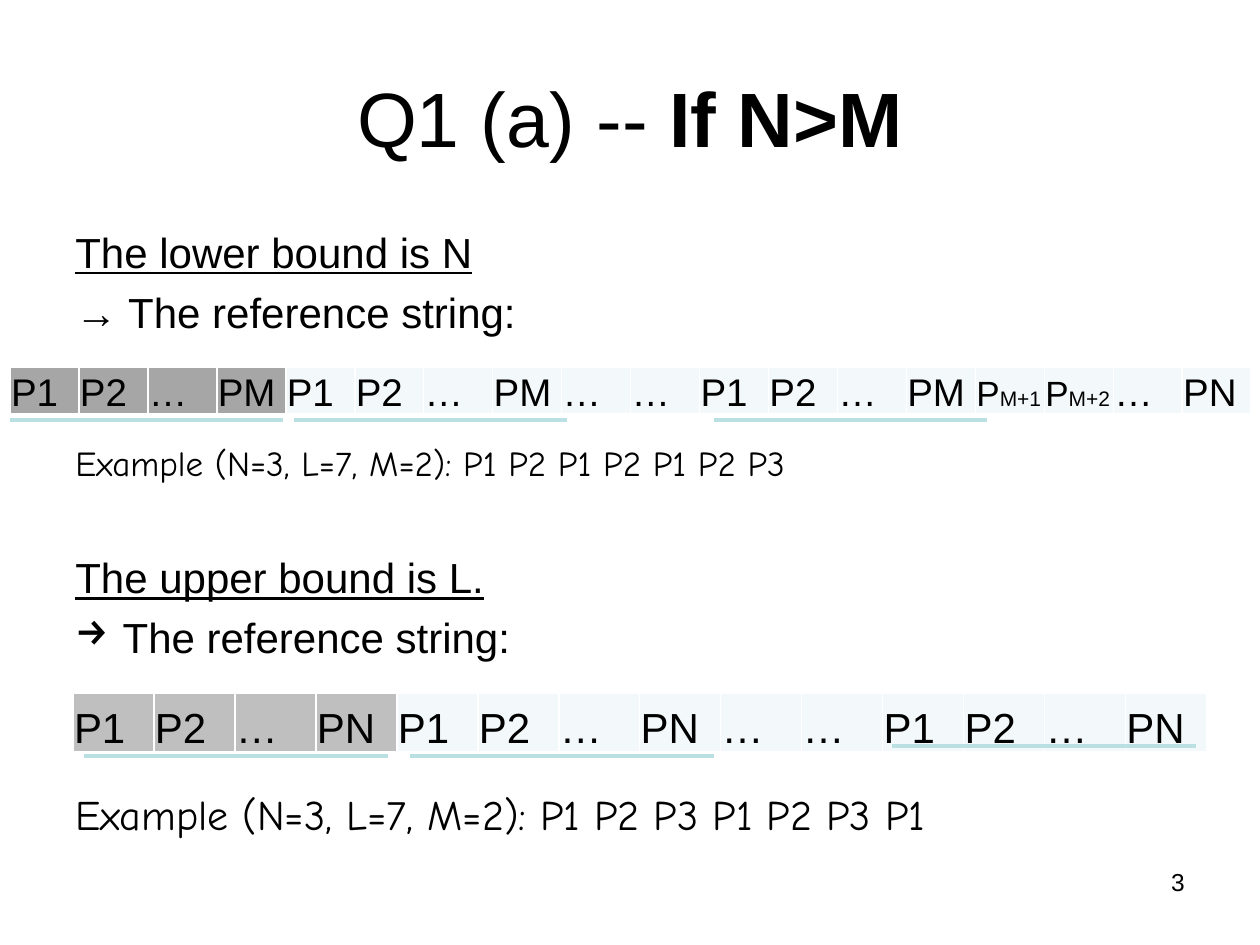
from pptx import Presentation
from pptx.dml.color import RGBColor
from pptx.enum.shapes import MSO_CONNECTOR
from pptx.enum.text import MSO_ANCHOR, PP_ALIGN
from pptx.oxml.ns import qn
from pptx.util import Pt
from lxml.etree import SubElement

PX = 914400 / 126


def px(*values):
    return [round(v * PX) for v in values]


def add_run(p, text, size, font="Arial", bold=False, underline=False):
    r = p.add_run()
    r.text = text
    r.font.size = Pt(size)
    r.font.name = font
    r.font.bold = bold
    r.font.underline = underline
    r.font.color.rgb = RGBColor.from_string("000000")


prs = Presentation()
prs.slide_width, prs.slide_height = px(1260, 945)
s = prs.slides.add_slide(prs.slide_layouts[6])

title = s.shapes.add_textbox(*px(63, 38, 1134, 157))
body = s.shapes.add_textbox(*px(63, 220, 1134, 624))
number = s.shapes.add_textbox(*px(903, 861, 294, 66))
for sp in (title, body, number):
    sp.text_frame.word_wrap = True

title.text_frame.vertical_anchor = MSO_ANCHOR.MIDDLE
p = title.text_frame.paragraphs[0]
p.alignment = PP_ALIGN.CENTER
add_run(p, "Q1 (a) -- ", 44)
add_run(p, "If N>M", 44, bold=True)

p = number.text_frame.paragraphs[0]
p.alignment = PP_ALIGN.RIGHT
add_run(p, "3", 14)

lines = [
    ("The lower bound is N", 24, "Arial", True, 0),
    ("→ The reference string:", 24, "Arial", False, 5.5),
    ("Example (N=3, L=7, M=2): P1 P2 P1 P2 P1 P2 P3", 20, "Comic Neue", False, 60),
    ("The upper bound is L.", 24, "Arial", True, 39),
    ("The reference string:", 24, "Arial", False, 5.5),
    ("Example (N=3, L=7, M=2): P1 P2 P3 P1 P2 P3 P1", 24, "Comic Neue", False, 72),
]
tf = body.text_frame
for i, (text, size, font, underline, before) in enumerate(lines):
    p = tf.add_paragraph() if i else tf.paragraphs[0]
    p.space_before = Pt(before)
    add_run(p, text, size, font, underline=underline)

pPr = tf.paragraphs[4]._p.get_or_add_pPr()
pPr.set("marL", "342900")
pPr.set("indent", "-342900")
SubElement(pPr, qn("a:buChar")).set("char", "→")

upper = "P1 P2 … PN P1 P2 … PN … … P1 P2 … PN".split()
lower = "P1 P2 … PM P1 P2 … PM … … P1 P2 … PM PM+1 PM+2 … PN".split()
tables = [
    (upper, 73, 693, 81, 53, 24, "BFBFBF", 1.15, 10),
    (lower, 10, 367, 69, 44, 22, "A6A6A6", 1, 0),
]
for pages, x, y, col, row, size, shade, spacing, after in tables:
    n = len(pages)
    table = s.shapes.add_table(1, n, *px(x, y, col * n, row)).table
    for i, page in enumerate(pages):
        table.columns[i].width = px(col)[0]
        cell = table.cell(0, i)
        cell.margin_left, cell.margin_right, cell.margin_top, cell.margin_bottom = px(1, 1, 1, 0)
        cell.vertical_anchor = MSO_ANCHOR.BOTTOM
        p = cell.text_frame.paragraphs[0]
        p.line_spacing = spacing
        p.space_after = Pt(after)
        if "+" in page:
            add_run(p, page[0], 20)
            add_run(p, page[1:], 12)
        else:
            add_run(p, page, size)
        tcPr = cell._tc.get_or_add_tcPr()
        for side in ("a:lnL", "a:lnR", "a:lnT", "a:lnB"):
            ln = SubElement(tcPr, qn(side), w="12700")
            SubElement(SubElement(ln, qn("a:solidFill")), qn("a:srgbClr"), val="FFFFFF")
        cell.fill.solid()
        cell.fill.fore_color.rgb = RGBColor.from_string(shade if i < 4 else "F3F9FA")

group = s.shapes.add_group_shape()
underlines = [
    (s, 10, 420, 273), (s, 294, 420, 273), (s, 714, 420, 273),
    (group, 84, 756, 304), (group, 410, 756, 304), (group, 892, 746, 304),
]
for parent, x, y, width in underlines:
    c = parent.shapes.add_connector(MSO_CONNECTOR.STRAIGHT, *px(x, y, x + width, y))
    c.line.color.rgb = RGBColor.from_string("BBE0E3")
    c.line.width = Pt(2.25)
    SubElement(c._element.spPr, qn("a:effectLst"))

prs.save("out.pptx")
